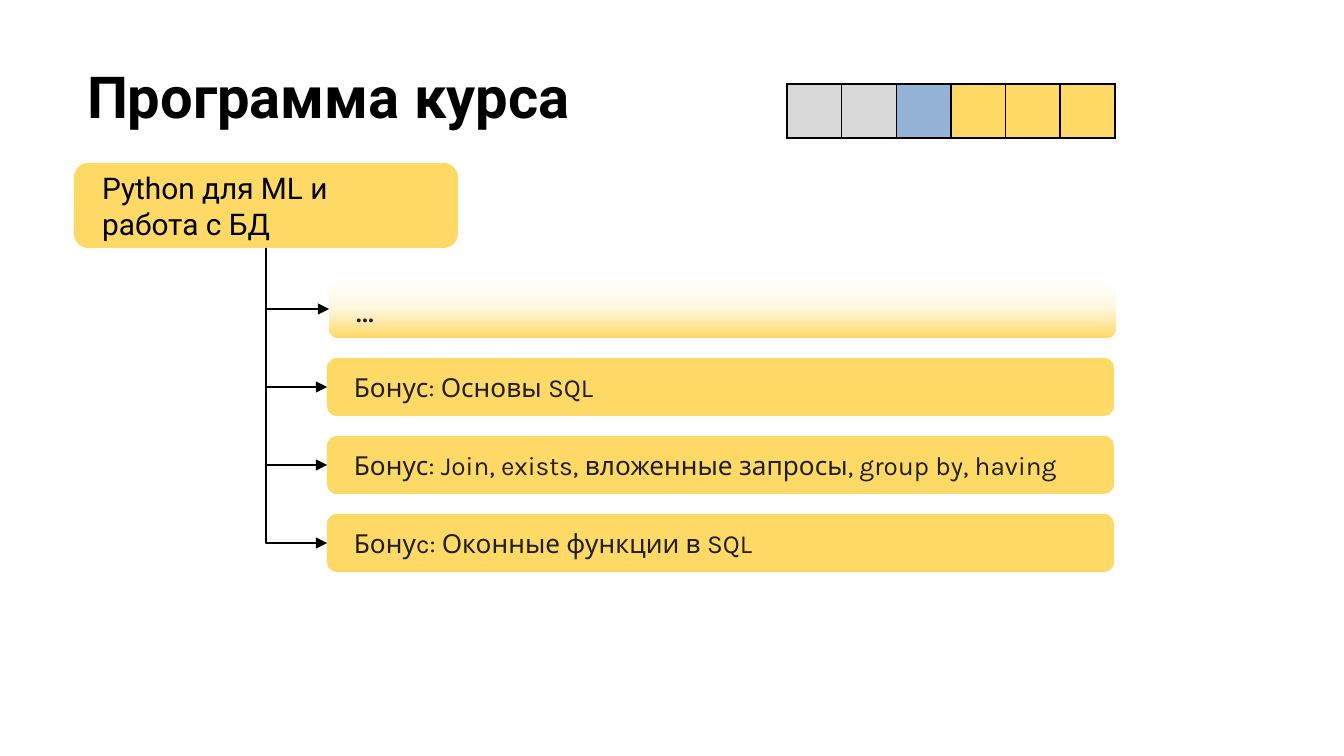
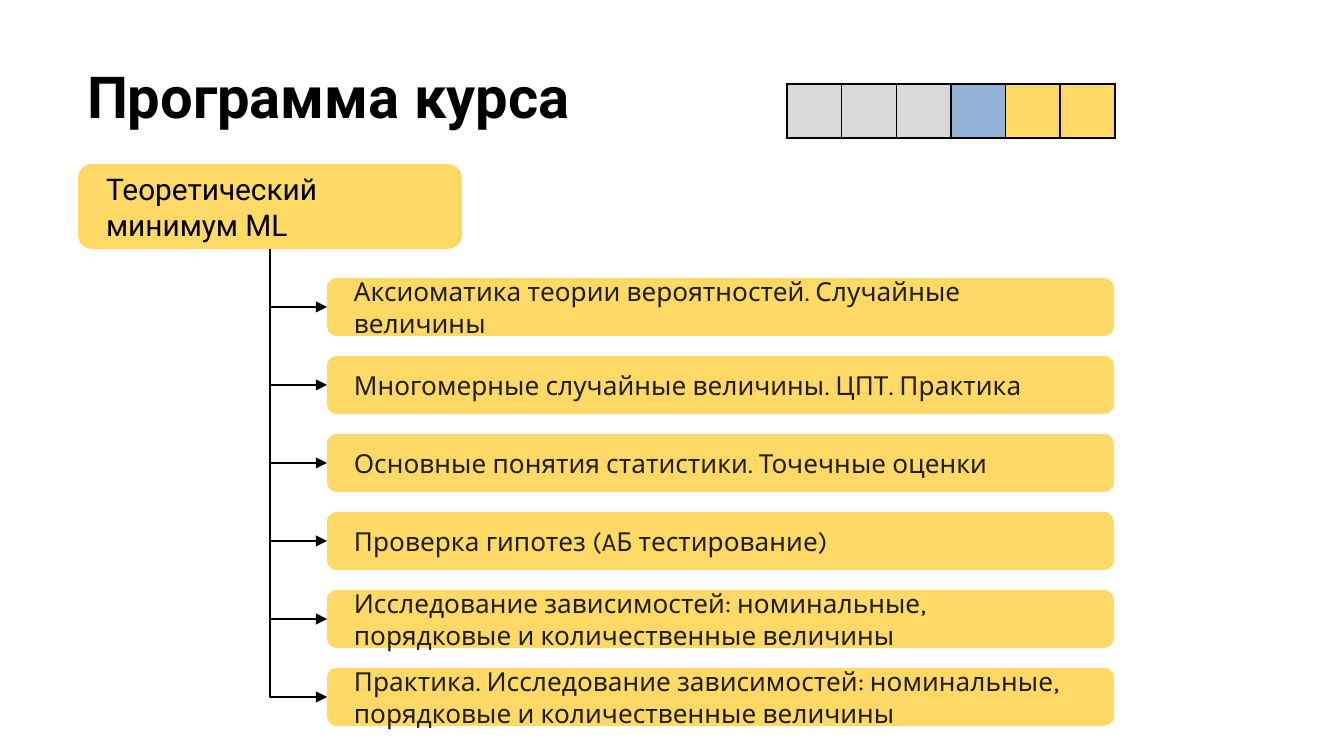
import pptx
import pptx.util
import pptx.dml.color
import pptx.enum.shapes
import pptx.enum.text
import pptx.oxml.ns
from lxml import etree

# Shared look
SCALE = 914400 / 134.4
GOLD, GREY, BLUE = "FFD966", "D9D9D9", "95B3D7"
BLACK, INK, WHITE = "000000", "1F1F1F", "FFFFFF"
FADE = [(0, WHITE), (51, "FFF6DC"), (100, GOLD), (100, "B0C6E1")]
HEAD, BODY = "Roboto", "Karla"
STEPS = 6
PITCH = 78
TITLE = (74, 48, 1253, 161)
TRACK = (787, 84, 328, 54)

qn = pptx.oxml.ns.qn


def px(n):
    return round(n * SCALE)


def rgb(hue):
    return pptx.dml.color.RGBColor.from_string(hue)


def sub(node, tag, **attrs):
    return etree.SubElement(node, qn(tag), attrs)


def write(frame, text, font, size, hue, bold=False):
    para = frame.paragraphs[0]
    para.alignment = pptx.enum.text.PP_ALIGN.LEFT
    run = para.add_run()
    run.text = text
    run.font.name = font
    run.font.size = pptx.util.Pt(size)
    run.font.bold = bold
    run.font.color.rgb = rgb(hue)


def inset(frame, side, anchor):
    frame.word_wrap = True
    frame.auto_size = pptx.enum.text.MSO_AUTO_SIZE.NONE
    frame.margin_left = frame.margin_right = px(side)
    frame.margin_top = frame.margin_bottom = px(13)
    frame.vertical_anchor = anchor


def put_title(slide, box, text):
    title = slide.shapes.title
    title.left, title.top, title.width, title.height = map(px, box)
    inset(title.text_frame, 13, pptx.enum.text.MSO_ANCHOR.TOP)
    write(title.text_frame, text, HEAD, 31, BLACK, True)


def put_track(slide, box, now):
    """Progress strip: done steps grey, the current one blue."""
    x, y, w, h = map(px, box)
    table = slide.shapes.add_table(1, STEPS, x, y, w, h).table
    table.first_row = table.horz_banding = False
    for i in range(STEPS):
        table.columns[i].width = w // STEPS
        cell = table.cell(0, i)
        cell.margin_top = cell.margin_bottom = 0
        props = cell._tc.get_or_add_tcPr()
        for edge in ("a:lnL", "a:lnR", "a:lnT", "a:lnB"):
            line = sub(props, edge, w="12700")
            sub(sub(line, "a:solidFill"), "a:srgbClr", val=BLACK)
        cell.fill.solid()
        cell.fill.fore_color.rgb = rgb(
            GREY if i < now else BLUE if i == now else GOLD)


def put_card(slide, box, text, font, size, hue):
    card = slide.shapes.add_shape(
        pptx.enum.shapes.MSO_SHAPE.ROUNDED_RECTANGLE, *map(px, box))
    card.shadow.inherit = False
    card.line.fill.background()
    card.fill.solid()
    card.fill.fore_color.rgb = rgb(GOLD)
    inset(card.text_frame, 24, pptx.enum.text.MSO_ANCHOR.MIDDLE)
    write(card.text_frame, text, font, size, hue)
    return card


def fade(card):
    card.fill.gradient()
    card.fill.gradient_angle = 270
    stops = card._element.spPr.find(".//" + qn("a:gsLst"))
    for stop in list(stops):
        stops.remove(stop)
    for place, hue in FADE:
        stop = sub(stops, "a:gs", pos=str(place * 1000))
        sub(stop, "a:srgbClr", val=hue)


def put_link(slide, x, y, to_x, to_y):
    """Arrow that runs down, then right: a flipped elbow turned by 270°."""
    mid_x, mid_y = (x + to_x) / 2, (y + to_y) / 2
    dx, dy = (to_x - x) / 2, (to_y - y) / 2
    link = slide.shapes.add_connector(
        pptx.enum.shapes.MSO_CONNECTOR.ELBOW,
        px(mid_x + dy), px(mid_y - dx), px(mid_x - dy), px(mid_y + dx))
    link.line.color.rgb = rgb(BLACK)
    link.line.width = pptx.util.Pt(0.75)
    props = link._element.spPr
    props.find(qn("a:xfrm")).set("rot", "16200000")
    props.find(qn("a:prstGeom")).set("prst", "bentConnector2")
    sub(props.find(qn("a:ln")), "a:tailEnd", type="triangle")
    sub(props, "a:effectLst")


def put_tree(slide, box, head, top, items):
    """Head card with a column of topics hanging from it."""
    x, y, w, h = box
    put_card(slide, box, head, HEAD, 16, BLACK)
    for i, text in enumerate(items):
        more = text == "…"
        left, row = 329 if more else 327, top + i * PITCH
        card = put_card(slide, (left, row, 787, 58), text, BODY,
                        18 if more else 14, INK)
        if more:
            fade(card)
        put_link(slide, x + w / 2, y + h, left, row + 29)


def put_slide(deck, now, box, head, top, items):
    slide = deck.slides.add_slide(deck.slide_layouts[5])
    put_title(slide, TITLE, "Программа курса")
    put_track(slide, TRACK, now)
    put_tree(slide, box, head, top, items)


def main():
    deck = pptx.Presentation()
    deck.slide_width, deck.slide_height = px(1344), px(756)
    put_slide(deck, 2, (74, 163, 384, 85), "Python для ML и работа с БД", 280, [
        "…",
        "Бонус: Основы SQL",
        "Бонус: Join, exists, вложенные запросы, group by, having",
        "Бонуc: Оконные функции в SQL",
    ])
    put_slide(deck, 3, (78, 164, 384, 85), "Теоретический минимум ML", 278, [
        "Аксиоматика теории вероятностей. Случайные величины",
        "Многомерные случайные величины. ЦПТ. Практика",
        "Основные понятия статистики. Точечные оценки",
        "Проверка гипотез (AБ тестирование)",
        "Исследование зависимостей: номинальные, "
        "порядковые и количественные величины",
        "Практика. Исследование зависимостей: номинальные, "
        "порядковые и количественные величины",
    ])
    deck.save("out.pptx")


if __name__ == "__main__":
    main()
